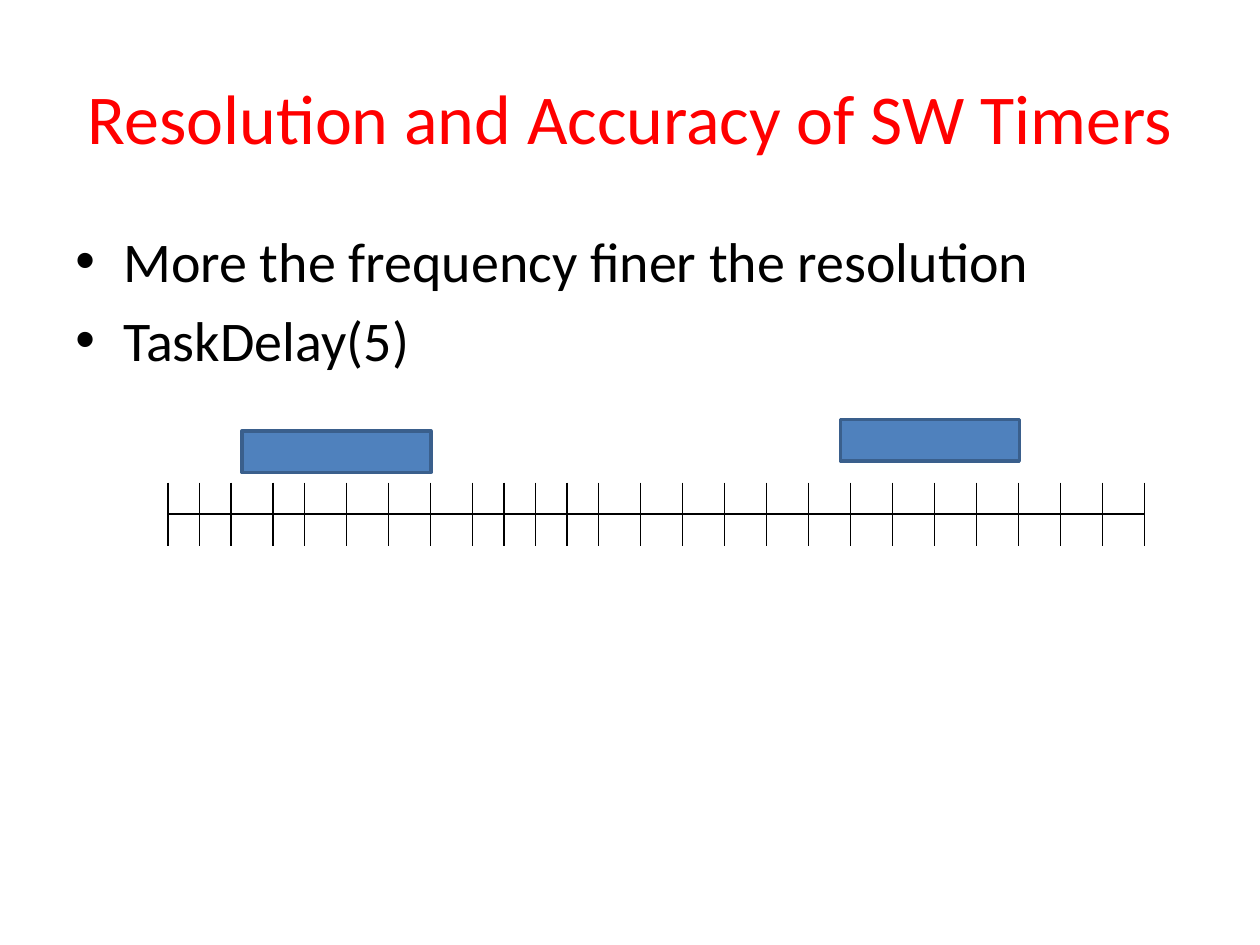
from itertools import accumulate

from lxml.etree import SubElement
from pptx import Presentation
from pptx.dml.color import RGBColor
from pptx.enum.shapes import MSO_CONNECTOR, MSO_SHAPE
from pptx.enum.text import MSO_ANCHOR, MSO_AUTO_SIZE, PP_ALIGN
from pptx.oxml.ns import qn
from pptx.util import Inches, Pt

RED = RGBColor(0xFF, 0x00, 0x00)
BLACK = RGBColor(0x00, 0x00, 0x00)
BLUE = RGBColor(0x4F, 0x81, 0xBD)
DARK_BLUE = RGBColor(0x3A, 0x5F, 0x8C)

TITLE_FORMAT = {"name": "Calibri", "size": Pt(40)}
BULLET_FORMAT = {"name": "Calibri", "size": Pt(32)}
FRAME_FORMAT = {"word_wrap": True, "auto_size": MSO_AUTO_SIZE.NONE}

BULLETS = ["More the frequency finer the resolution", "TaskDelay(5)"]
TASKS = [(1.92, 3.42, 1.5, 0.33), (6.67, 3.33, 1.42, 0.33)]
AXIS_TOP, AXIS_MIDDLE, AXIS_BOTTOM = 3.83, 4.08, 4.33
TICK_GAPS = [3, 3, 4, 3] + [4] * 4 + [3] * 4 + [4] * 13
TICKS = [twelfths / 12 for twelfths in accumulate(TICK_GAPS, initial=16)]


class TimerSlide:
    """Holds the shared style and the slide that its methods add to."""

    def __init__(self, deck):
        self.slide = deck.slides.add_slide(deck.slide_layouts[5])
        self.shapes = self.slide.shapes

    def apply(self, target, values):
        for name, value in values.items():
            setattr(target, name, value)

    def place(self, left, top, width, height):
        return [Inches(length) for length in (left, top, width, height)]

    def add_span(self, para, text, values, color):
        span = para.add_run()
        span.text = text
        self.apply(span.font, values)
        span.font.color.rgb = color

    def title(self, text, *bounds):
        box = self.shapes.title
        self.apply(box, dict(zip(("left", "top", "width", "height"), self.place(*bounds))))
        frame = box.text_frame
        self.apply(frame, FRAME_FORMAT | {"vertical_anchor": MSO_ANCHOR.MIDDLE})
        para = frame.paragraphs[0]
        para.alignment = PP_ALIGN.CENTER
        self.add_span(para, text, TITLE_FORMAT, RED)

    def bullets(self, lines, *bounds):
        frame = self.shapes.add_textbox(*self.place(*bounds)).text_frame
        self.apply(frame, FRAME_FORMAT)
        for index, line in enumerate(lines):
            para = frame.add_paragraph() if index else frame.paragraphs[0]
            para.space_before = Pt(6.4)
            properties = para._p.get_or_add_pPr()
            properties.set("marL", str(Inches(0.38)))
            properties.set("indent", str(Inches(-0.38)))
            SubElement(properties, qn("a:buFont"), typeface="Arial")
            SubElement(properties, qn("a:buChar"), char="•")
            self.add_span(para, line, BULLET_FORMAT, BLACK)

    def line(self, *ends):
        connector = self.shapes.add_connector(MSO_CONNECTOR.STRAIGHT, *self.place(*ends))
        connector.line.color.rgb = BLACK
        connector.line.width = Pt(0.75)
        SubElement(connector._element.spPr, qn("a:effectLst"))

    def task(self, *bounds):
        box = self.shapes.add_shape(MSO_SHAPE.RECTANGLE, *self.place(*bounds))
        box.shadow.inherit = False
        box.fill.solid()
        box.fill.fore_color.rgb = BLUE
        box.line.color.rgb = DARK_BLUE
        box.line.width = Pt(2)


def main():
    deck = Presentation()
    deck.slide_width, deck.slide_height = Inches(10), Inches(7.5)
    page = TimerSlide(deck)
    page.title("Resolution and Accuracy of SW Timers", 0.5, 0.3, 9, 1.25)
    page.bullets(BULLETS, 0.5, 1.75, 9, 5.25)
    page.line(TICKS[0], AXIS_MIDDLE, TICKS[-1], AXIS_MIDDLE)
    for tick in TICKS:
        page.line(tick, AXIS_TOP, tick, AXIS_BOTTOM)
    for bounds in TASKS:
        page.task(*bounds)
    deck.save("out.pptx")


if __name__ == "__main__":
    main()
